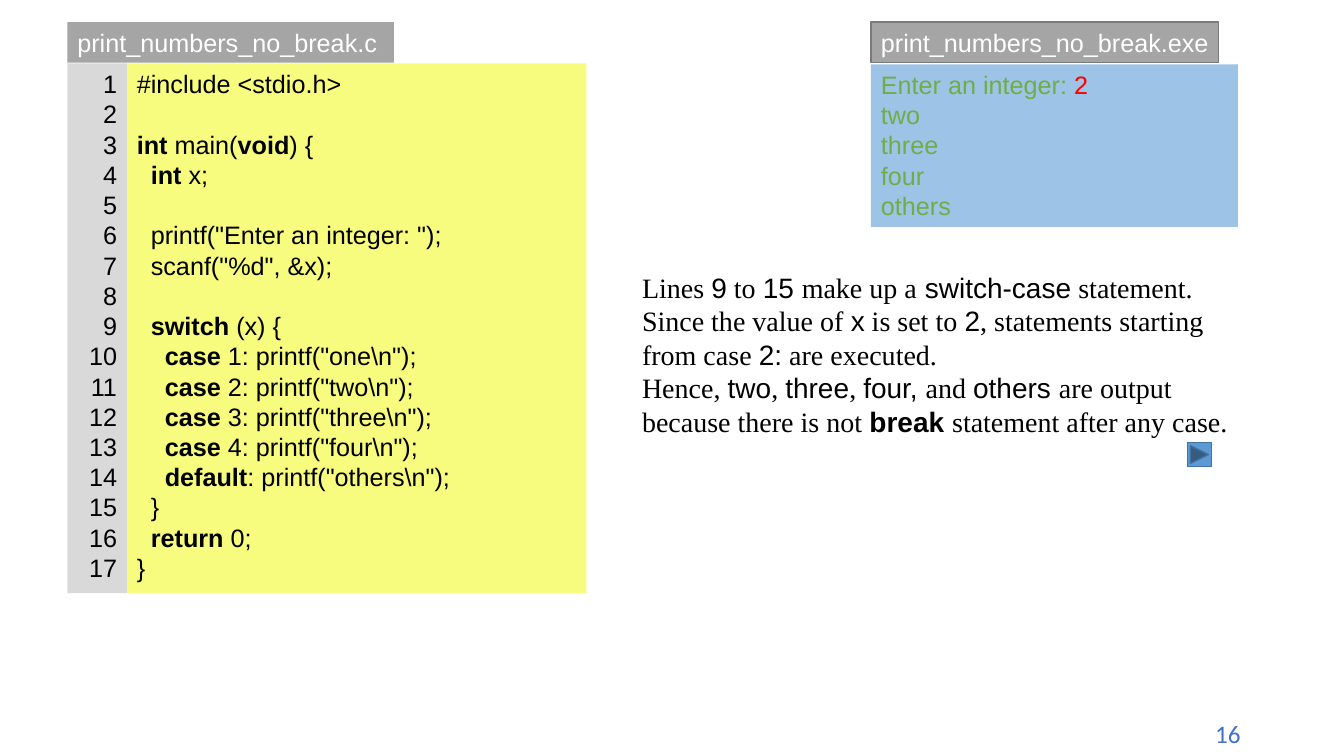
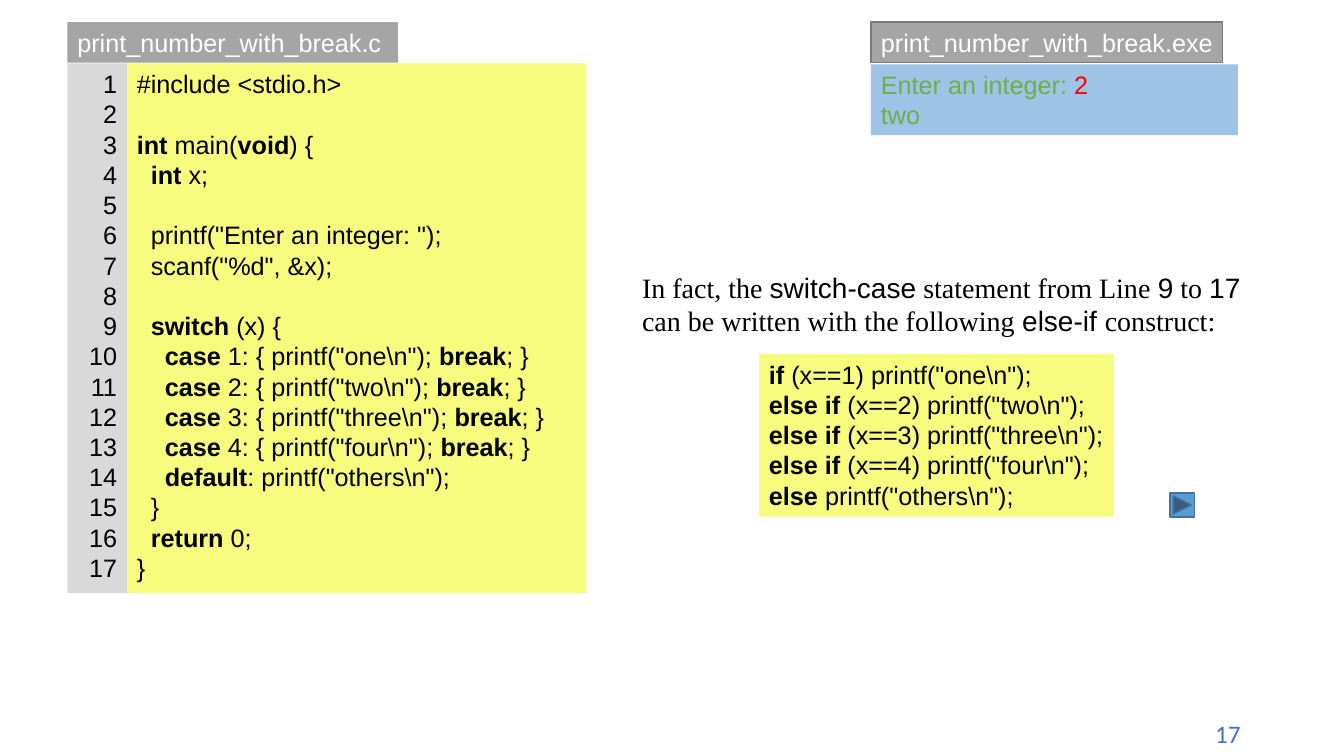
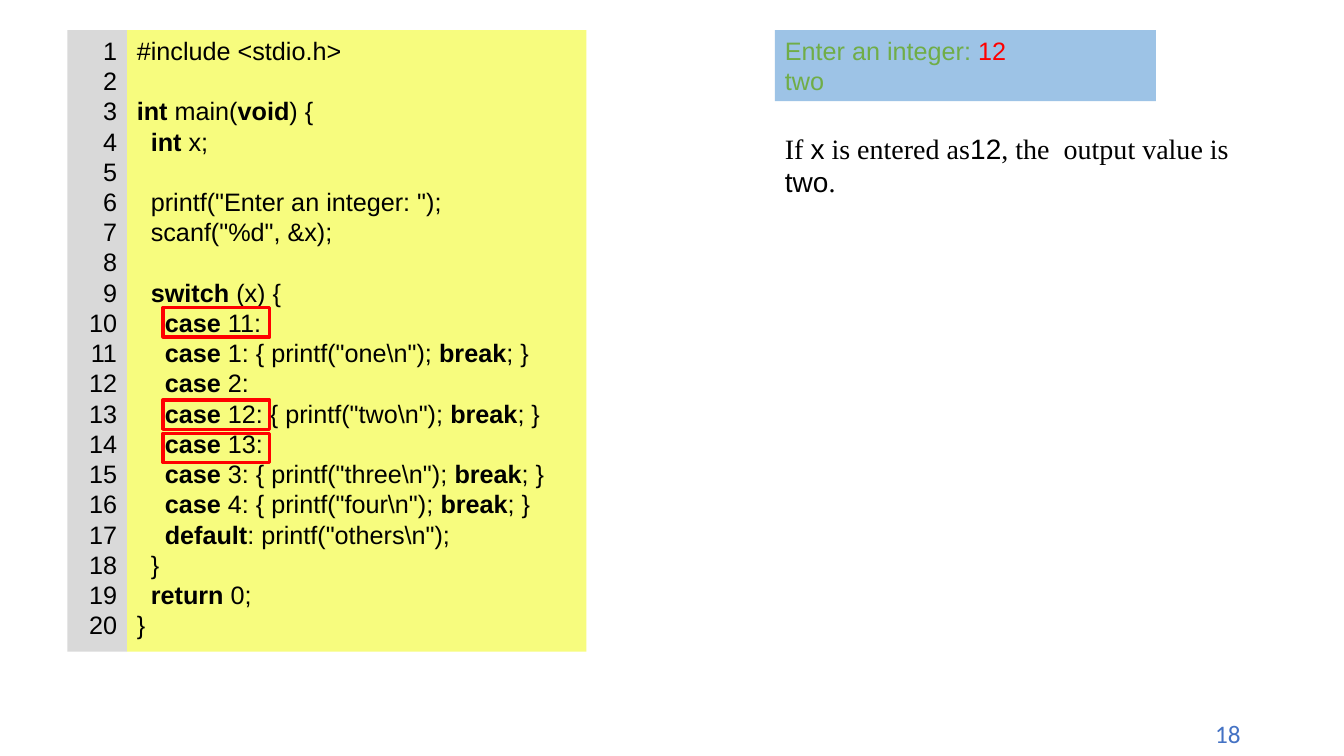
from pptx import Presentation
from pptx.dml.color import RGBColor
from pptx.enum.shapes import MSO_SHAPE as Preset
from pptx.enum.text import MSO_ANCHOR as Anchor, PP_ALIGN as Align
from pptx.util import Cm, Pt

COLORS = {
    "text": "000000", "label": "A5A5A5", "label_line": "7A7A7A", "label_text": "FFFFFF",
    "code": "F7FC7E", "numbers": "D9D9D9", "screen": "9DC3E6", "output": "70AD47",
    "input": "FF0000", "button": "5B9BD5", "button_line": "43739E", "page": "4472C4",
}


def add_box(slide, preset, left, top, width, height, fill=None, line=None, line_width=1):
    box = slide.shapes.add_shape(preset, Cm(left), Cm(top), Cm(width), Cm(height))
    box.shadow.inherit = False
    if fill:
        box.fill.solid()
        box.fill.fore_color.rgb = RGBColor.from_string(COLORS[fill])
    else:
        box.fill.background()
    if line:
        box.line.color.rgb = RGBColor.from_string(COLORS[line])
        box.line.width = Pt(line_width)
    else:
        box.line.fill.background()
    return box


def add_text(slide, left, top, width, lines, fill=None, line=None, color="text", font="Arial",
             size=18, align=Align.LEFT, wrap=False, rows=None, marked=None):
    """Add a box as high as its rows; text between bars takes the marked style."""
    height = round(0.25 + 0.0428 * size * (rows or len(lines)), 2)
    frame = add_box(slide, Preset.RECTANGLE, left, top, width, height, fill, line).text_frame
    frame.word_wrap = wrap
    frame.vertical_anchor = Anchor.TOP
    for index, content in enumerate(lines):
        paragraph = frame.paragraphs[0] if index == 0 else frame.add_paragraph()
        paragraph.alignment = align
        paragraph.font.size = Pt(size)
        for part, piece in enumerate(content.split("|")):
            if not piece:
                continue
            style = {"color": color, "font": font, "bold": False}
            if part % 2:
                style.update(marked)
                style["bold"] = style["bold"] or piece == "break "
            run = paragraph.add_run()
            run.text = piece
            run.font.size = Pt(size)
            run.font.name = style["font"]
            run.font.bold = style["bold"]
            run.font.color.rgb = RGBColor.from_string(COLORS[style["color"]])


KEYWORD = {"bold": True}
TYPED = {"color": "input"}
TERM = {"font": "Arial"}

program_start = r"""#include <stdio.h>

|int |main(|void|) {
  |int |x;

  printf("Enter an integer: ");
  scanf("%d", &x);

  |switch |(x) {""".split("\n")
program_end = r"""    |default|: printf("others\n");
  }
  |return |0;
}""".split("\n")

words = ["one", "two", "three", "four"]
plain_cases = [rf'    |case |{n}: printf("{word}\n");' for n, word in enumerate(words, 1)]
break_bodies = [rf'{{ printf("{word}\n"); |break|; }}' for word in words]
break_cases = [f"    |case |{n}: {body}" for n, body in enumerate(break_bodies, 1)]
shared_cases = [
    "    |case |11:", break_cases[0],
    "    |case |2:", f"    |case |12: {break_bodies[1]}",
    "    |case |13:", *break_cases[2:],
]
else_if = [rf'|{"else " if n > 1 else ""}if |(x=={n}) printf("{word}\n");'
           for n, word in enumerate(words, 1)] + [r'|else |printf("others\n");']

pages = [
    {
        "name": "print_numbers_no_break", "label_widths": (8.23, 8.76),
        "code_top": 1.6, "cases": plain_cases,
        "screen": (21.95, 1.62, 9.25),
        "output": ["Enter an integer: |2", "two", "three", "four", "others"],
        "prose_at": (15.93, 6.68, 15.67), "prose_rows": 5,
        "prose": [
            "Lines |9| to |15 |make up a| switch-case| statement.",
            "Since the value of |x| is set to |2|, statements starting from case |2:| are executed.",
            "Hence, |two|, |three|, |four, |and |others |are output because there is not "
            "|break |statement after any case.",
        ],
        "button": (29.92, 11.15),
    },
    {
        "name": "print_number_with_break", "label_widths": (8.33, 8.86),
        "code_top": 1.6, "cases": break_cases,
        "screen": (21.95, 1.62, 9.25),
        "output": ["Enter an integer: |2", "two"],
        "prose_at": (15.93, 6.68, 15.67), "prose_rows": 2,
        "prose": ["In fact, the |switch-case| statement from Line |9| to |17 |can be written "
                  "with the following |else-if |construct:"],
        "snippet": else_if,
        "button": (29.49, 12.42),
    },
    {
        "code_top": 0.76, "cases": shared_cases,
        "screen": (19.53, 0.76, 9.6),
        "output": ["Enter an integer: |12", "two"],
        "prose_at": (19.53, 3.18, 12.88), "prose_rows": 2,
        "prose": ["If |x| is entered as|12|, the  output value is |two|."],
        "frame_tops": (7.75, 10.08, 10.92),
    },
]

prs = Presentation()
prs.slide_width, prs.slide_height = Cm(33.87), Cm(19.05)

for page_number, page in enumerate(pages, 16):
    slide = prs.slides.add_slide(prs.slide_layouts[6])
    add_text(slide, 27.53, 17.98, 3.99, [str(page_number)], color="page", font="Calibri",
             align=Align.RIGHT, wrap=True)

    if "name" in page:
        source_width, program_width = page["label_widths"]
        add_text(slide, 1.7, 0.56, source_width, [page["name"] + ".c"],
                 fill="label", color="label_text")
        add_text(slide, 21.95, 0.56, program_width, [page["name"] + ".exe"],
                 fill="label", line="label_line", color="label_text")

    code = program_start + page["cases"] + program_end
    numbers = [str(n) for n in range(1, len(code) + 1)]
    add_text(slide, 3.2, page["code_top"], 11.58, code, fill="code", marked=KEYWORD)
    add_text(slide, 1.7, page["code_top"], 1.5, numbers, fill="numbers",
             align=Align.RIGHT, wrap=True)

    add_text(slide, *page["screen"], page["output"], fill="screen", color="output", marked=TYPED)
    add_text(slide, *page["prose_at"], page["prose"], font="Times New Roman", size=20,
             wrap=True, rows=page["prose_rows"], marked=TERM)

    if "snippet" in page:
        add_text(slide, 19.13, 8.92, 8.94, page["snippet"], fill="code", marked=KEYWORD)
    if "button" in page:
        add_box(slide, Preset.ACTION_BUTTON_FORWARD_OR_NEXT, *page["button"], 0.61, 0.61,
                fill="button", line="button_line")
    for frame_top in page.get("frame_tops", ()):
        add_box(slide, Preset.RECTANGLE, 4.11, frame_top, 2.69, 0.74,
                line="input", line_width=2.5)

prs.save("out.pptx")
